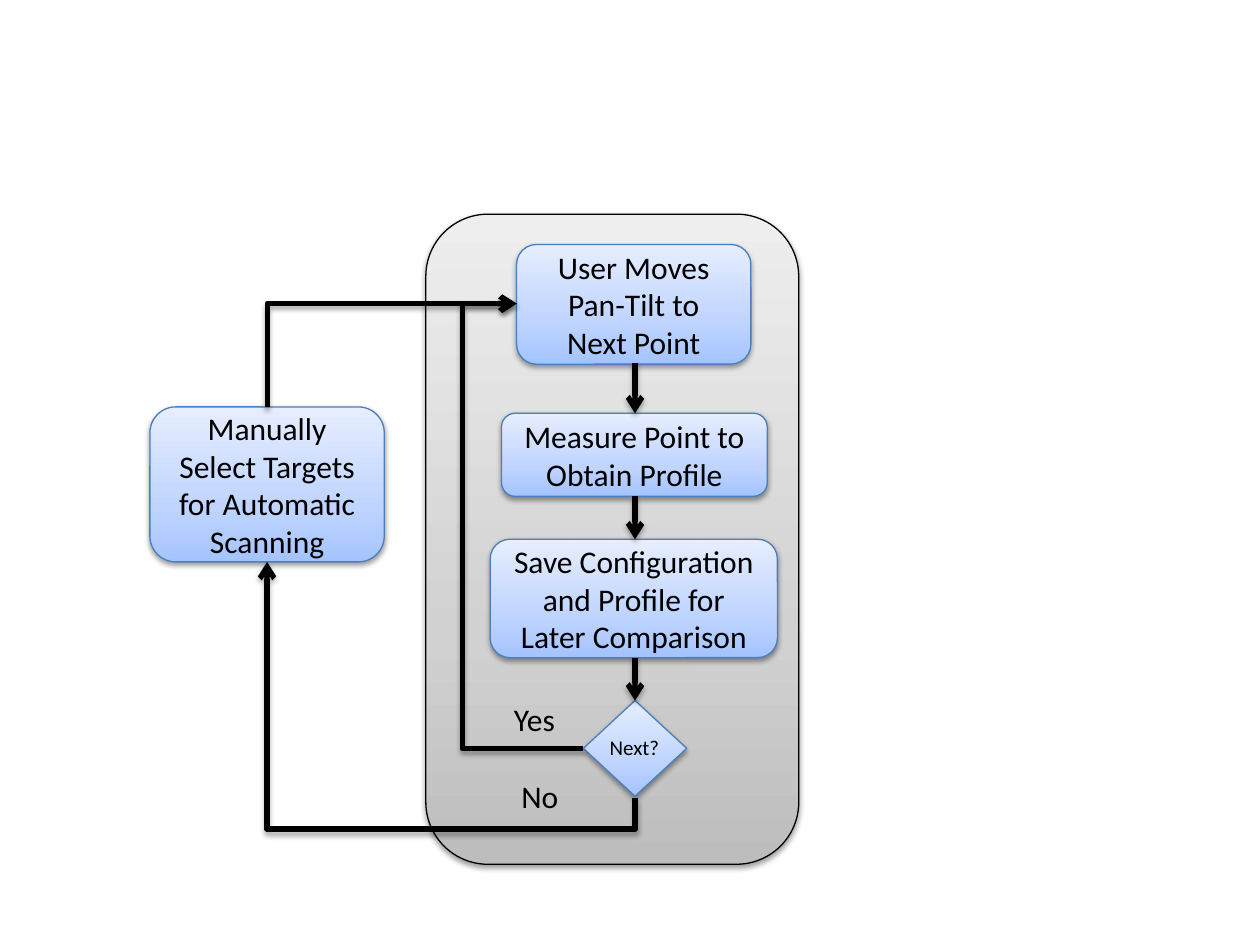
"""Build a flowchart slide of a scanning loop."""
from dataclasses import dataclass
from typing import Any

from pptx import Presentation
from pptx.dml.color import RGBColor
from pptx.enum.shapes import MSO_CONNECTOR, MSO_SHAPE
from pptx.enum.text import MSO_ANCHOR, MSO_AUTO_SIZE, PP_ALIGN
from pptx.oxml import parse_xml
from pptx.oxml.ns import nsdecls, qn
from pptx.util import Inches, Pt

ROUND, DIAMOND = MSO_SHAPE.ROUNDED_RECTANGLE, MSO_SHAPE.DIAMOND
ELBOW, LINE = MSO_CONNECTOR.ELBOW, MSO_CONNECTOR.STRAIGHT
CENTER, LEFT = PP_ALIGN.CENTER, PP_ALIGN.LEFT
MIDDLE, TOP = MSO_ANCHOR.MIDDLE, MSO_ANCHOR.TOP
FIT = MSO_AUTO_SIZE.SHAPE_TO_FIT_TEXT


@dataclass(frozen=True)
class Theme:
    font: str = "Calibri"
    body: int = 18
    small: int = 12
    ink: str = "000000"
    edge: str = "4B7EBC"
    blue: tuple[str, ...] = ("A4C4FF", "BFD4FF", "E6EEFF")
    gray: tuple[str, ...] = ("BDBDBD", "D1D1D1", "EEEEEE")
    stops: tuple[int, ...] = (0, 35, 100)
    thin: float = 0.75
    thick: float = 3


@dataclass(frozen=True)
class Box:
    x: float
    y: float
    w: float
    h: float
    text: str = ""
    form: Any = ROUND


@dataclass(frozen=True)
class Link:
    start: tuple[float, float]
    end: tuple[float, float]
    turns: int = 0
    form: str = ""
    bend: float | None = None


THEME = Theme()
MID = 5.04
PANEL = Box(3.38, 1.7, 2.96, 5.16)
STEPS = [
    Box(1.19, 3.23, 1.86, 1.23, "Manually Select Targets for Automatic Scanning"),
    Box(4.1, 1.94, 1.86, 0.95, "User Moves Pan-Tilt to Next Point"),
    Box(3.98, 3.28, 2.11, 0.66, "Measure Point to Obtain Profile"),
    Box(3.89, 4.28, 2.28, 0.94, "Save Configuration and Profile for Later Comparison"),
]
CHOICE = Box(4.63, 5.56, 0.82, 0.76, form=DIAMOND)
ASK = Box(4.74, 5.78, 0.6, 0.3, "Next?")
LABELS = [Box(4.04, 6.12, 0.52, 0.4, "No"), Box(3.98, 5.51, 0.55, 0.4, "Yes")]
LINKS = [
    Link((2.12, 3.23), (4.1, 2.41), 1, "bentConnector2"),
    Link((MID, 2.88), (MID, 3.28)),
    Link((MID, 3.94), (MID, 4.28)),
    Link((MID, 5.22), (MID, 5.56)),
    Link((4.63, 5.94), (4.1, 2.41), 2, "bentConnector3", 1.816),
    Link((MID, 6.33), (2.12, 4.46), 1, "bentConnector3", -0.134),
]


def shade(item: Any, alpha: int, gap: float) -> None:
    """Append a soft downward shadow."""
    item._element.spPr.append(parse_xml(
        f'<a:effectLst {nsdecls("a")}><a:outerShdw blurRad="{Pt(3.1)}" '
        f'dist="{Pt(gap)}" dir="5400000" rotWithShape="0">'
        f'<a:srgbClr val="{THEME.ink}"><a:alpha val="{alpha * 1000}"/>'
        '</a:srgbClr></a:outerShdw></a:effectLst>'))


def write(item: Any, text: str, *, size: int = THEME.body, align: Any = LEFT,
          anchor: Any = TOP, wrap: bool = True) -> None:
    """Set the text of a shape and its format."""
    frame = item.text_frame
    frame.word_wrap = wrap
    frame.vertical_anchor = anchor
    if not wrap:
        frame.auto_size = FIT
    para = frame.paragraphs[0]
    para.alignment = align
    run = para.add_run()
    run.text = text
    run.font.name = THEME.font
    run.font.size = Pt(size)
    run.font.color.rgb = RGBColor.from_string(THEME.ink)


def block(host: Any, box: Box, tones: tuple[str, ...], edge: str) -> None:
    """Draw a shape with a gradient and a shadow."""
    item = host.add_shape(box.form, *map(Inches, (box.x, box.y, box.w, box.h)))
    marks = "".join(
        f'<a:gs pos="{stop * 1000}"><a:srgbClr val="{tone}"/></a:gs>'
        for stop, tone in zip(THEME.stops, tones))
    item._element.spPr.append(parse_xml(
        f'<a:gradFill {nsdecls("a")} rotWithShape="1"><a:gsLst>{marks}</a:gsLst>'
        '<a:lin ang="16200000" scaled="0"/></a:gradFill>'))
    item.line.color.rgb = RGBColor.from_string(edge)
    item.line.width = Pt(THEME.thin)
    shade(item, 38, 1.6)
    if box.text:
        write(item, box.text, align=CENTER, anchor=MIDDLE)


def label(host: Any, box: Box, size: int) -> None:
    """Draw a text box that does not wrap."""
    item = host.add_textbox(*map(Inches, (box.x, box.y, box.w, box.h)))
    write(item, box.text, size=size, wrap=False)


def join(host: Any, link: Link) -> None:
    """Draw an arrow, turned by quarter turns about its centre."""
    (ax, ay), (bx, by) = link.start, link.end
    cx, cy, dx, dy = (ax + bx) / 2, (ay + by) / 2, bx - ax, by - ay
    for _ in range(link.turns):
        dx, dy = dy, -dx
    ends = (cx - dx / 2, cy - dy / 2, cx + dx / 2, cy + dy / 2)
    item = host.add_connector(ELBOW if link.form else LINE, *map(Inches, ends))
    props = item._element.spPr
    if link.form:
        props.find(qn("a:xfrm")).set("rot", str(link.turns * 5400000))
        geom = props.find(qn("a:prstGeom"))
        geom.set("prst", link.form)
        if link.bend is not None:
            geom.find(qn("a:avLst")).append(parse_xml(
                f'<a:gd {nsdecls("a")} name="adj1" '
                f'fmla="val {round(link.bend * 100000)}"/>'))
    item.line.color.rgb = RGBColor.from_string(THEME.ink)
    item.line.width = Pt(THEME.thick)
    props.find(qn("a:ln")).append(parse_xml(
        f'<a:tailEnd {nsdecls("a")} type="arrow"/>'))
    shade(item, 35, 1.8)


def main() -> None:
    """Build and save the slide."""
    deck = Presentation()
    deck.slide_width, deck.slide_height = Inches(10), Inches(7.5)
    shapes = deck.slides.add_slide(deck.slide_layouts[6]).shapes
    block(shapes, PANEL, THEME.gray, THEME.ink)
    for step in STEPS:
        block(shapes, step, THEME.blue, THEME.edge)
    group = shapes.add_group_shape().shapes
    block(group, CHOICE, THEME.blue, THEME.edge)
    label(group, ASK, THEME.small)
    for link in LINKS:
        join(shapes, link)
    for box in LABELS:
        label(shapes, box, THEME.body)
    deck.save("out.pptx")


if __name__ == "__main__":
    main()
